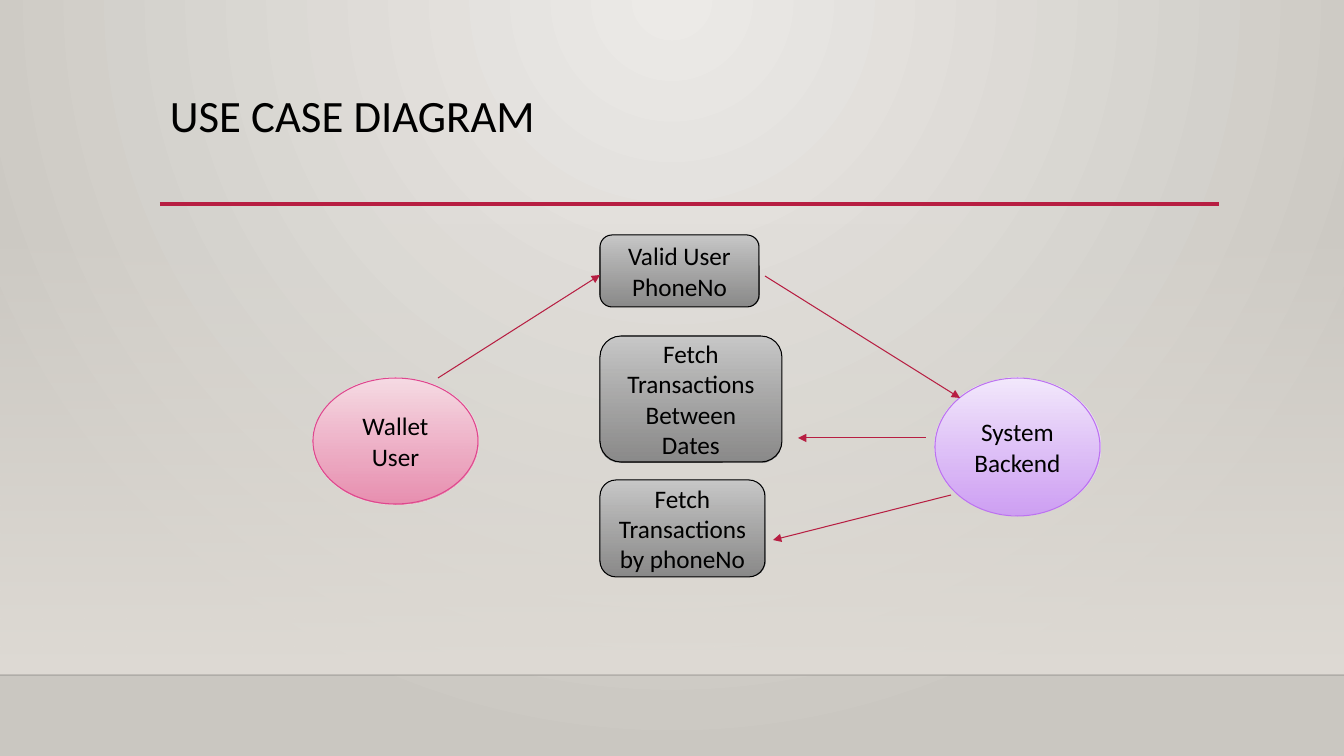
from lxml import etree
from pptx import Presentation, util as u
from pptx.dml.color import RGBColor
from pptx.enum import shapes, text
from pptx.oxml import parse_xml
from pptx.oxml.ns import nsdecls, qn

# Content; lengths in pixels
WIDTH, HEIGHT = 1344, 756
SCALE = 914400 / 100.8
FONT = "Calibri"
COLORS = {
    "glow": "ECEAE7", "edge": "CAC7C1", "wall": "DFDBD5", "black": "000000",
    "accent": "B71E42",
    "pink_light": "F7DCE5", "pink": "EA8AAE", "pink_line": "DE478E",
    "violet_light": "F4EAFD", "violet": "CE9CF7", "violet_line": "BC72F0",
    "gray_light": "C8C8C8", "gray": "848484",
}
TITLE = ("USE CASE DIAGRAM", (160, 89, 1058, 116))
STYLES = {  # shape kind, top color, bottom color, outline
    "user": ("OVAL", "pink_light", "pink", "pink_line"),
    "system": ("OVAL", "violet_light", "violet", "violet_line"),
    "case": ("ROUNDED_RECTANGLE", "gray_light", "gray", "black"),
}
NODES = [
    ("Wallet User", "user", (313, 378, 165, 126)),
    ("System Backend", "system", (935, 378, 165, 138)),
    ("Valid User PhoneNo", "case", (600, 235, 159, 72)),
    ("Fetch Transactions Between Dates", "case", (600, 336, 182, 126)),
    ("Fetch Transactions by phoneNo", "case", (600, 480, 165, 97)),
]
ARROWS = [
    (438, 378, 600, 275),
    (765, 276, 960, 398),
    (926, 438, 798, 438),
    (951, 495, 773, 540),
]
LINEAR = '<a:lin ang="5400000" scaled="0"/>'
CIRCLE = ('<a:path path="circle"><a:fillToRect l="43000" t="0" r="43000" '
          'b="100000"/></a:path>')


def emu(*pixels):
    return [u.Emu(round(value * SCALE)) for value in pixels]


def rgb(name):
    return RGBColor.from_string(COLORS[name])


def set_alpha(solid, percent):
    etree.SubElement(solid[0], qn("a:alpha"), val=str(percent * 1000))


def set_gradient(holder, fill, stops, direction=LINEAR):
    """Fill with (color, opacity percent) stops, spread evenly."""
    fill.solid()
    solid = holder.find(qn("a:solidFill"))
    last = len(stops) - 1
    marks = "".join(
        f'<a:gs pos="{100000 * i // last}"><a:srgbClr val="{COLORS[name]}">'
        f'<a:alpha val="{opacity * 1000}"/></a:srgbClr></a:gs>'
        for i, (name, opacity) in enumerate(stops))
    holder.replace(solid, parse_xml(
        f'<a:gradFill {nsdecls("a")} rotWithShape="1"><a:gsLst>{marks}</a:gsLst>'
        f'{direction}</a:gradFill>'))


def add_line(ends, color, width):
    line = page.shapes.add_connector(shapes.MSO_CONNECTOR.STRAIGHT, *emu(*ends))
    line.line.color.rgb = rgb(color)
    line.line.width = u.Pt(width)
    etree.SubElement(line.element.spPr, qn("a:effectLst"))
    return line.element.spPr.find(qn("a:ln"))


def add_shape(kind, place, stops):
    shape = page.shapes.add_shape(getattr(shapes.MSO_SHAPE, kind), *emu(*place))
    shape.shadow.inherit = False
    set_gradient(shape.element.spPr, shape.fill, stops)
    return shape


def write(shape, words, size, align, anchor):
    frame = shape.text_frame
    frame.word_wrap = True
    frame.vertical_anchor = anchor
    para = frame.paragraphs[0]
    para.text = words
    para.alignment = align
    para.font.name, para.font.size = FONT, u.Pt(size)
    para.font.color.rgb = rgb("black")
    return para


deck = Presentation()
deck.slide_width, deck.slide_height = emu(WIDTH, HEIGHT)
page = deck.slides.add_slide(deck.slide_layouts[6])

# Background, wall and floor edge
backdrop = page.background.fill
backdrop.solid()
set_gradient(page.element.find(".//" + qn("p:bgPr")), backdrop,
             [("glow", 100), ("edge", 100)], CIRCLE)
wall = add_shape("RECTANGLE", (0, 223, WIDTH, 452), [("wall", 0), ("wall", 100)])
wall.line.fill.background()
floor = add_line((0, 675, WIDTH, 675), "black", 1)
set_alpha(floor.find(qn("a:solidFill")), 20)

# Title and rule
add_line((160, 204, 1219, 204), "accent", 2.5)
words, place = TITLE
title = page.shapes.add_textbox(*emu(*place))
write(title, words, 32, text.PP_ALIGN.LEFT, text.MSO_ANCHOR.TOP).line_spacing = 0.9

# Actors and use cases
for words, style, place in NODES:
    kind, top, bottom, outline = STYLES[style]
    node = add_shape(kind, place, [(top, 100), (bottom, 92)])
    node.line.color.rgb = rgb(outline)
    node.line.width = u.Pt(0.75)
    write(node, words, 18, text.PP_ALIGN.CENTER, text.MSO_ANCHOR.MIDDLE)

# Arrows
for ends in ARROWS:
    etree.SubElement(add_line(ends, "accent", 0.75), qn("a:tailEnd"), type="triangle")

deck.save("out.pptx")
